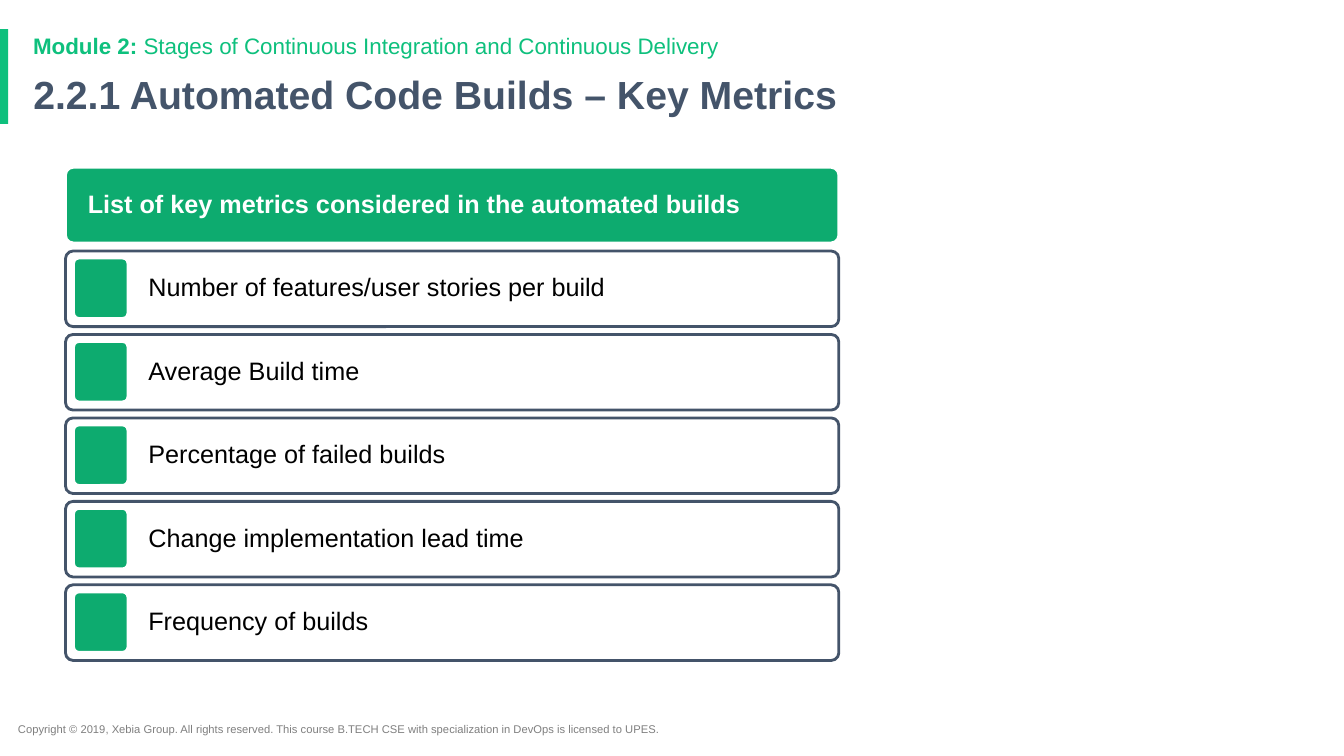
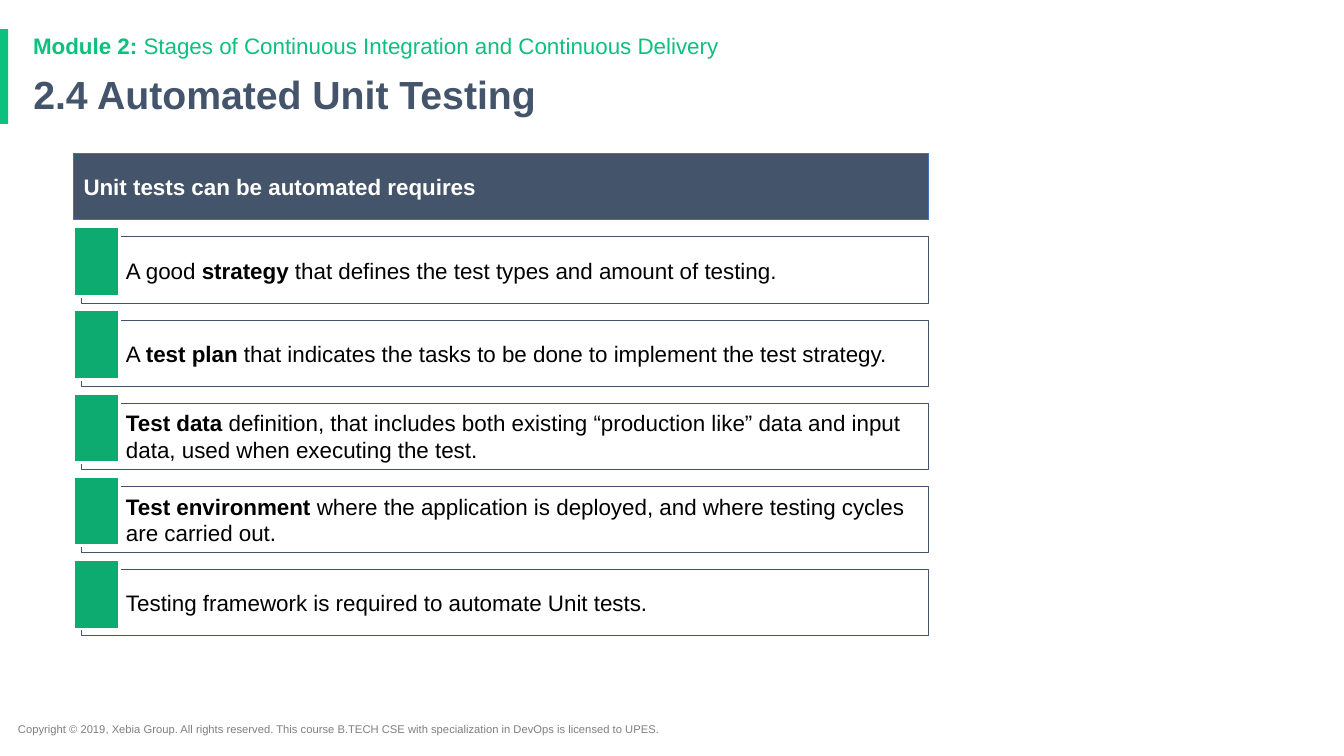
"""Build two course slides that list build metrics and unit test requirements."""
from dataclasses import dataclass
from typing import NamedTuple, Optional

from lxml import etree
from pptx import Presentation
from pptx import util as u
from pptx.dml.color import RGBColor
from pptx.enum import shapes, text
from pptx.oxml import ns

CELL = u.Inches(0.1)
FONT = "Arial"
BRAND_GREEN = RGBColor(0x0E, 0xC0, 0x7D)
MARKER_GREEN = RGBColor(0x0D, 0xAB, 0x6F)
SLATE = RGBColor(0x44, 0x54, 0x6A)
BLUE = RGBColor(0x3F, 0x6F, 0xC3)
GREY = RGBColor(0x7F, 0x7F, 0x7F)
WHITE = RGBColor(0xFF, 0xFF, 0xFF)
BLACK = RGBColor(0, 0, 0)
TITLE_ONLY = 5
COPYRIGHT = (
    "Copyright © 2019, Xebia Group. All rights reserved. "
    "This course B.TECH CSE with specialization in DevOps is licensed to UPES."
)


class Run(NamedTuple):
    text: str
    bold: bool = False


class Area(NamedTuple):
    """Left, top, width and height in grid cells."""
    left: float
    top: float
    width: float
    height: float


class Insets(NamedTuple):
    """Left inset and the inset of the other sides, in grid cells."""
    left: float
    other: float


class Line(NamedTuple):
    color: RGBColor
    points: float


@dataclass(frozen=True)
class TextStyle:
    size: float
    color: RGBColor
    insets: tuple[float, float, float, float] = (1, 0.5, 1, 0.5)
    spacing: float = 0.9
    anchor: text.MSO_ANCHOR = text.MSO_ANCHOR.TOP


@dataclass(frozen=True)
class ListDesign:
    kind: shapes.MSO_SHAPE
    header: Area
    row: Area
    marker: Area
    pitch: float
    size: float
    spacing: float
    header_fill: RGBColor
    header_line: Line
    row_line: Line
    header_insets: Insets
    row_insets: Insets
    row_alpha: Optional[int] = None


@dataclass(frozen=True)
class ListSlide:
    title: str
    header: str
    rows: tuple[tuple[Run, ...], ...]
    design: ListDesign


MODULE = (
    Run("Module 2: ", True),
    Run("Stages of Continuous Integration and Continuous Delivery"),
)
ACCENT_AREA = Area(0, 2.9, 0.8, 9.4)
MODULE_AREA = Area(2.3, 3, 115, 3.3)
TITLE_AREA = Area(2.3, 6.9, 115, 5.4)
COPYRIGHT_AREA = Area(0.8, 71.2, 71.3, 2.4)
MODULE_STYLE = TextStyle(16, BRAND_GREEN)
TITLE_STYLE = TextStyle(28, SLATE, anchor=text.MSO_ANCHOR.MIDDLE)
COPYRIGHT_STYLE = TextStyle(8, GREY, spacing=1)
WHITE_EDGE = Line(WHITE, 2)

ROUNDED = ListDesign(
    kind=shapes.MSO_SHAPE.ROUNDED_RECTANGLE,
    header=Area(6.5, 16.6, 76.7, 7.5),
    row=Area(6.5, 24.9, 76.7, 7.5),
    marker=Area(7.3, 25.6, 5.4, 6),
    pitch=8.28,
    size=18,
    spacing=0.9,
    header_fill=MARKER_GREEN,
    header_line=WHITE_EDGE,
    row_line=Line(SLATE, 2),
    header_insets=Insets(2, 0.8),
    row_insets=Insets(8, 0.8),
)
SQUARE = ListDesign(
    kind=shapes.MSO_SHAPE.RECTANGLE,
    header=Area(7.3, 15.2, 84.8, 6.6),
    row=Area(8.1, 23.5, 84, 6.6),
    marker=Area(7.3, 22.5, 4.6, 6.9),
    pitch=8.25,
    size=16,
    spacing=1,
    header_fill=SLATE,
    header_line=Line(BLUE, 0.75),
    row_line=Line(SLATE, 0.75),
    header_insets=Insets(1, 0.3),
    row_insets=Insets(4.4, 0.3),
    row_alpha=40,
)

SLIDES = (
    ListSlide(
        "2.2.1 Automated Code Builds – Key Metrics",
        "List of key metrics considered in the automated builds",
        (
            (Run("Number of features/user stories per build"),),
            (Run("Average Build time"),),
            (Run("Percentage of failed builds"),),
            (Run("Change implementation lead time"),),
            (Run("Frequency of builds"),),
        ),
        ROUNDED,
    ),
    ListSlide(
        "2.4 Automated Unit Testing",
        "Unit tests can be automated requires",
        (
            (
                Run("A good "),
                Run("strategy", True),
                Run(" that defines the test types and amount of testing."),
            ),
            (
                Run("A "),
                Run("test plan", True),
                Run(" that indicates the tasks to be done to implement the test strategy."),
            ),
            (
                Run("Test data", True),
                Run(
                    " definition, that includes both existing “production like” data "
                    "and input data, used when executing the test."
                ),
            ),
            (
                Run("Test environment", True),
                Run(
                    " where the application is deployed, "
                    "and where testing cycles are carried out."
                ),
            ),
            (Run("Testing framework is required to automate Unit tests."),),
        ),
        SQUARE,
    ),
)


def cells(count: float) -> u.Emu:
    return u.Emu(round(count * CELL))


def apply_format(target, values: dict) -> None:
    for name, value in values.items():
        setattr(target, name, value)


def write(shape, runs: tuple[Run, ...], style: TextStyle) -> None:
    left, top, right, bottom = map(cells, style.insets)
    apply_format(shape.text_frame, {
        "word_wrap": True,
        "auto_size": text.MSO_AUTO_SIZE.NONE,
        "vertical_anchor": style.anchor,
        "margin_left": left,
        "margin_top": top,
        "margin_right": right,
        "margin_bottom": bottom,
    })
    paragraph = shape.text_frame.paragraphs[0]
    apply_format(paragraph, {
        "alignment": text.PP_ALIGN.LEFT,
        "line_spacing": style.spacing,
    })
    for item in runs:
        run = paragraph.add_run()
        run.text = item.text
        apply_format(run.font, {
            "name": FONT, "size": u.Pt(style.size), "bold": item.bold,
        })
        run.font.color.rgb = style.color


def add_block(slide, kind, area: Area, fill: RGBColor,
              line: Optional[Line] = None, alpha: Optional[int] = None):
    shape = slide.shapes.add_shape(kind, *map(cells, area))
    shape.shadow.inherit = False
    shape.fill.solid()
    shape.fill.fore_color.rgb = fill
    if alpha is not None:
        color = shape.fill._xPr.find(".//" + ns.qn("a:srgbClr"))
        etree.SubElement(color, ns.qn("a:alpha"), val=str(alpha * 1000))
    if line is None:
        shape.line.fill.background()
    else:
        shape.line.color.rgb = line.color
        shape.line.width = u.Pt(line.points)
    if kind == shapes.MSO_SHAPE.ROUNDED_RECTANGLE:
        shape.adjustments[0] = 0.1
    return shape


def add_label(slide, area: Area, runs: tuple[Run, ...], style: TextStyle) -> None:
    write(slide.shapes.add_textbox(*map(cells, area)), runs, style)


def add_frame(slide, title: str) -> None:
    add_block(slide, shapes.MSO_SHAPE.RECTANGLE, ACCENT_AREA, BRAND_GREEN)
    add_label(slide, COPYRIGHT_AREA, (Run(COPYRIGHT),), COPYRIGHT_STYLE)
    add_label(slide, MODULE_AREA, MODULE, MODULE_STYLE)
    placeholder = slide.shapes.title
    apply_format(placeholder, dict(zip(TITLE_AREA._fields, map(cells, TITLE_AREA))))
    write(placeholder, (Run(title, True),), TITLE_STYLE)


def list_style(design: ListDesign, color: RGBColor, insets: Insets) -> TextStyle:
    return TextStyle(
        design.size, color, (insets.left, insets.other, insets.other, insets.other),
        design.spacing, text.MSO_ANCHOR.MIDDLE,
    )


def add_list(slide, content: ListSlide) -> None:
    design = content.design
    header = add_block(slide, design.kind, design.header,
                       design.header_fill, design.header_line)
    write(header, (Run(content.header, True),),
          list_style(design, WHITE, design.header_insets))
    row_style = list_style(design, BLACK, design.row_insets)
    for index, runs in enumerate(content.rows):
        offset = index * design.pitch
        row_area = design.row._replace(top=design.row.top + offset)
        marker_area = design.marker._replace(top=design.marker.top + offset)
        row = add_block(slide, design.kind, row_area, WHITE,
                        design.row_line, design.row_alpha)
        write(row, runs, row_style)
        add_block(slide, design.kind, marker_area, MARKER_GREEN, WHITE_EDGE)


def main() -> None:
    presentation = Presentation()
    apply_format(presentation, {
        "slide_width": u.Inches(13.33), "slide_height": u.Inches(7.5),
    })
    for content in SLIDES:
        slide = presentation.slides.add_slide(presentation.slide_layouts[TITLE_ONLY])
        add_frame(slide, content.title)
        add_list(slide, content)
    presentation.save("out.pptx")


if __name__ == "__main__":
    main()
